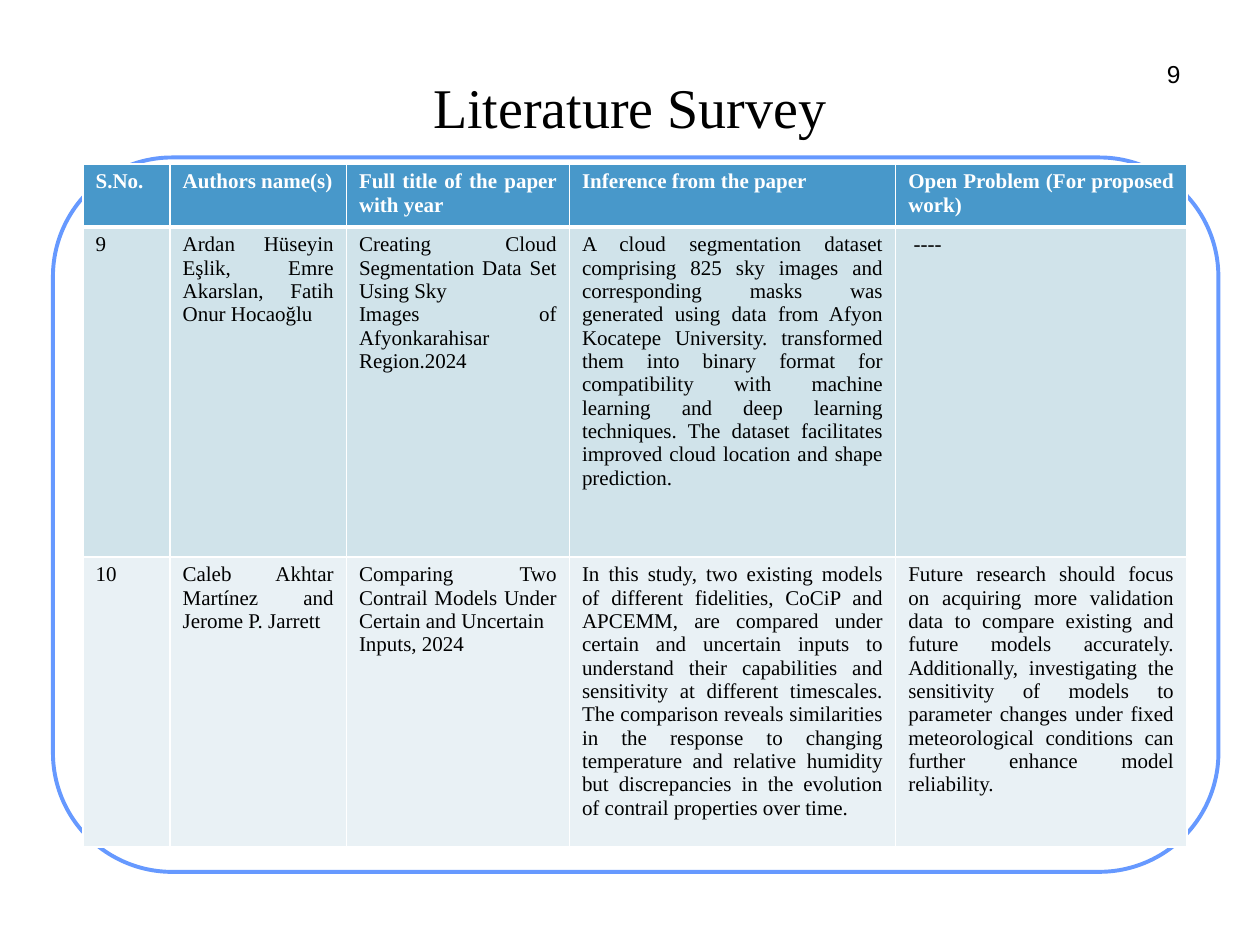
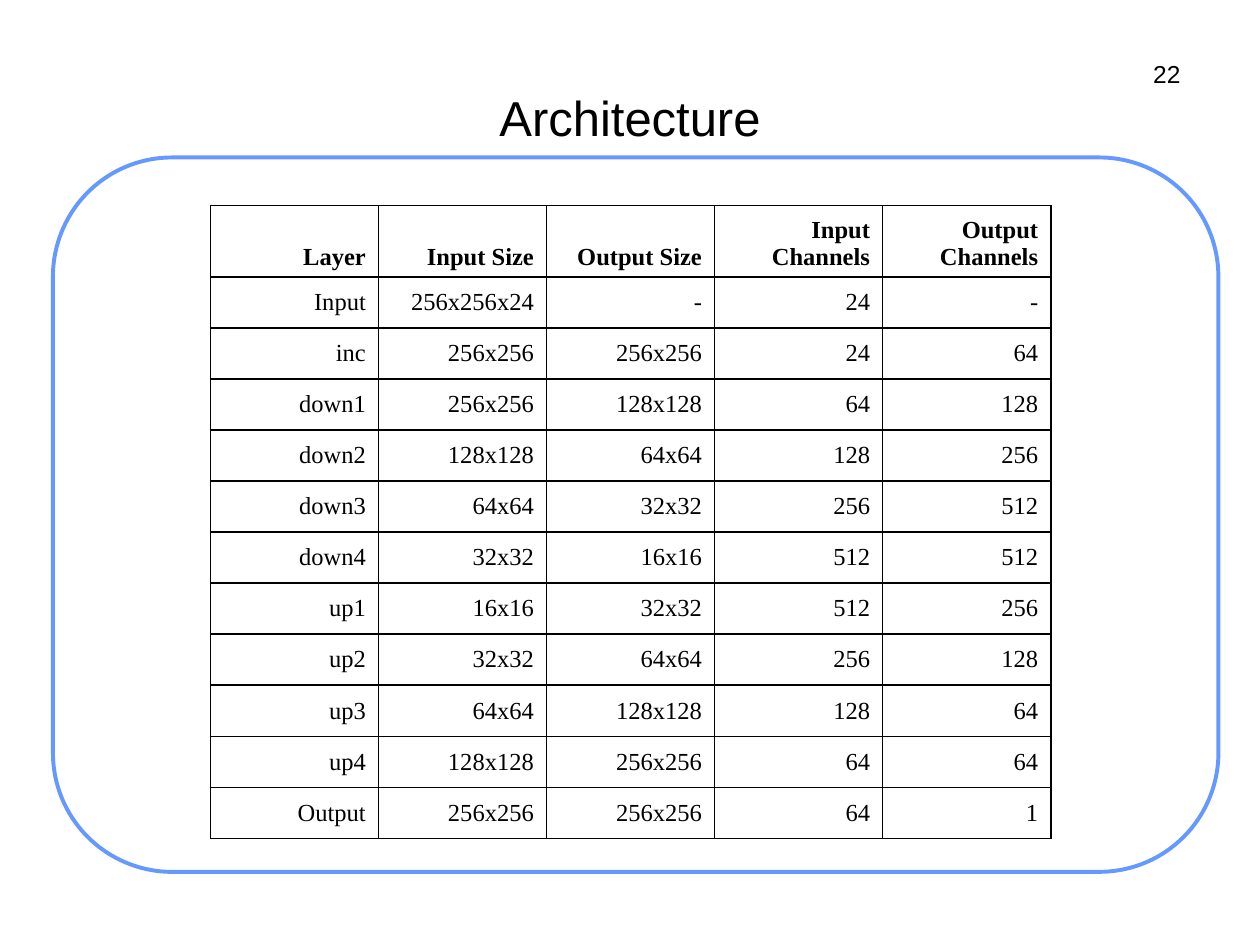
"""Builds two framed slides: a literature survey and a network architecture table."""
from lxml.etree import SubElement
from pptx import Presentation
from pptx.dml.color import RGBColor
from pptx.enum.shapes import MSO_SHAPE
from pptx.enum.text import MSO_ANCHOR, PP_ALIGN
from pptx.oxml.ns import qn
from pptx.util import Inches, Pt

BLACK = RGBColor(0x00, 0x00, 0x00)
WHITE = RGBColor(0xFF, 0xFF, 0xFF)
FRAME = RGBColor(0x66, 0x99, 0xFF)
HEAD = RGBColor(0x48, 0x98, 0xCA)
BANDS = [RGBColor(0xD0, 0xE3, 0xEA), RGBColor(0xE9, 0xF1, 0xF5)]
SERIF, SANS = "Times New Roman", "Arial"

PAPERS = [
    ("S.No.", "Authors name(s)", "Full title of the paper with year",
     "Inference from the paper", "Open Problem (For proposed work)"),
    ("9", "Ardan Hüseyin Eşlik, Emre Akarslan, Fatih Onur Hocaoğlu",
     "Creating Cloud Segmentation Data Set Using Sky\n"
     "Images of Afyonkarahisar Region.2024",
     "A cloud segmentation dataset comprising 825 sky images and corresponding "
     "masks was generated using data from Afyon Kocatepe University. transformed "
     "them into binary format for compatibility with machine learning and deep "
     "learning techniques. The dataset facilitates improved cloud location and "
     "shape prediction.",
     " ----"),
    ("10", "Caleb Akhtar Martínez and Jerome P. Jarrett",
     "Comparing Two Contrail Models Under Certain and Uncertain\nInputs, 2024",
     "In this study, two existing models of different fidelities, CoCiP and "
     "APCEMM, are compared under certain and uncertain inputs to understand their "
     "capabilities and sensitivity at different timescales. The comparison reveals "
     "similarities in the response to changing temperature and relative humidity "
     "but discrepancies in the evolution of contrail properties over time.",
     "Future research should focus on acquiring more validation data to compare "
     "existing and future models accurately. Additionally, investigating the "
     "sensitivity of models to parameter changes under fixed meteorological "
     "conditions can further enhance model reliability."),
]
LAYERS = [
    ("Layer", "Input Size", "Output Size", "Input Channels", "Output Channels"),
    ("Input", "256x256x24", "-", "24", "-"),
    ("inc", "256x256", "256x256", "24", "64"),
    ("down1", "256x256", "128x128", "64", "128"),
    ("down2", "128x128", "64x64", "128", "256"),
    ("down3", "64x64", "32x32", "256", "512"),
    ("down4", "32x32", "16x16", "512", "512"),
    ("up1", "16x16", "32x32", "512", "256"),
    ("up2", "32x32", "64x64", "256", "128"),
    ("up3", "64x64", "128x128", "128", "64"),
    ("up4", "128x128", "256x256", "64", "64"),
    ("Output", "256x256", "256x256", "64", "1"),
]


def style(frame, size, font, color, align, bold=False):
    for para in frame.paragraphs:
        para.alignment = align
        for run in para.runs:
            run.font.size = Pt(size)
            run.font.name = font
            run.font.bold = bold
            run.font.color.rgb = color


def add_text(slide, text, box, size, font, align, anchor, wrap):
    frame = slide.shapes.add_textbox(*map(Inches, box)).text_frame
    frame.margin_left = frame.margin_right = Inches(0.05)
    frame.margin_top = frame.margin_bottom = Inches(0.05)
    frame.word_wrap = wrap
    frame.vertical_anchor = anchor
    frame.text = text
    style(frame, size, font, BLACK, align)


def add_page(deck, title, number, box, size, font):
    slide = deck.slides.add_slide(deck.slide_layouts[6])
    frame = slide.shapes.add_shape(
        MSO_SHAPE.ROUNDED_RECTANGLE, *map(Inches, (0.42, 1.25, 9.25, 5.67)))
    frame.shadow.inherit = False
    frame.fill.solid()
    frame.fill.fore_color.rgb = WHITE
    frame.line.color.rgb = FRAME
    frame.line.width = Pt(2.25)
    wide = 0.11 * (len(number) + 1)
    add_text(slide, number, (9.42 - wide, 0.42, wide, 0.32), 14, SANS,
             PP_ALIGN.RIGHT, MSO_ANCHOR.TOP, False)
    add_text(slide, title, box, size, font,
             PP_ALIGN.CENTER, MSO_ANCHOR.MIDDLE, True)
    return slide


def add_edges(cell, color, top, bottom):
    props = cell._tc.get_or_add_tcPr()
    for side, width in (("L", 1), ("R", 1), ("T", top), ("B", bottom)):
        line = SubElement(props, qn(f"a:ln{side}"), w=str(Pt(width)))
        fill = SubElement(line, qn("a:solidFill"))
        SubElement(fill, qn("a:srgbClr"), val=str(color))


def add_grid(slide, rows, spot, widths, heights, size, align, edge, rule, look):
    left, top = map(Inches, spot)
    table = slide.shapes.add_table(
        len(rows), len(widths), left, top,
        Inches(sum(widths)), Inches(sum(heights))).table
    table.horz_banding = False
    for col, width in zip(table.columns, widths):
        col.width = Inches(width)
    for r, (row, height) in enumerate(zip(rows, heights)):
        table.rows[r].height = Inches(height)
        fill, ink, anchor = look(r)
        for c, text in enumerate(row):
            cell = table.cell(r, c)
            cell.text_frame.text = text
            cell.vertical_anchor = anchor
            style(cell.text_frame, size, SERIF, ink, align, r == 0)
            add_edges(cell, edge, rule if r == 1 else 1, rule if r == 0 else 1)
            if fill is None:
                cell.fill.background()
            else:
                cell.fill.solid()
                cell.fill.fore_color.rgb = fill


def paper_look(r):
    if r == 0:
        return HEAD, WHITE, MSO_ANCHOR.TOP
    return BANDS[(r - 1) % 2], BLACK, MSO_ANCHOR.TOP


def layer_look(r):
    return None, BLACK, MSO_ANCHOR.MIDDLE if r else MSO_ANCHOR.BOTTOM


def main():
    deck = Presentation()
    deck.slide_width, deck.slide_height = Inches(10), Inches(7.5)

    survey = add_page(deck, "Literature Survey", "9",
                      (1.25, 0.4, 7.5, 0.88), 32, SERIF)
    add_grid(survey, PAPERS, (0.66, 1.3), [0.69, 1.4, 1.77, 2.59, 2.31],
             [0.45, 2.62, 2.28], 12, PP_ALIGN.JUSTIFY, WHITE, 3, paper_look)

    design = add_page(deck, "Architecture", "22",
                      (0.5, 0.1, 9, 1.65), 28, SANS)
    count = len(LAYERS) - 1
    add_grid(design, LAYERS, (1.67, 1.63), [6.67 / 5] * 5,
             [0.53] + [4.46 / count] * count, 14, PP_ALIGN.RIGHT, BLACK, 1,
             layer_look)

    deck.save("out.pptx")


if __name__ == "__main__":
    main()
